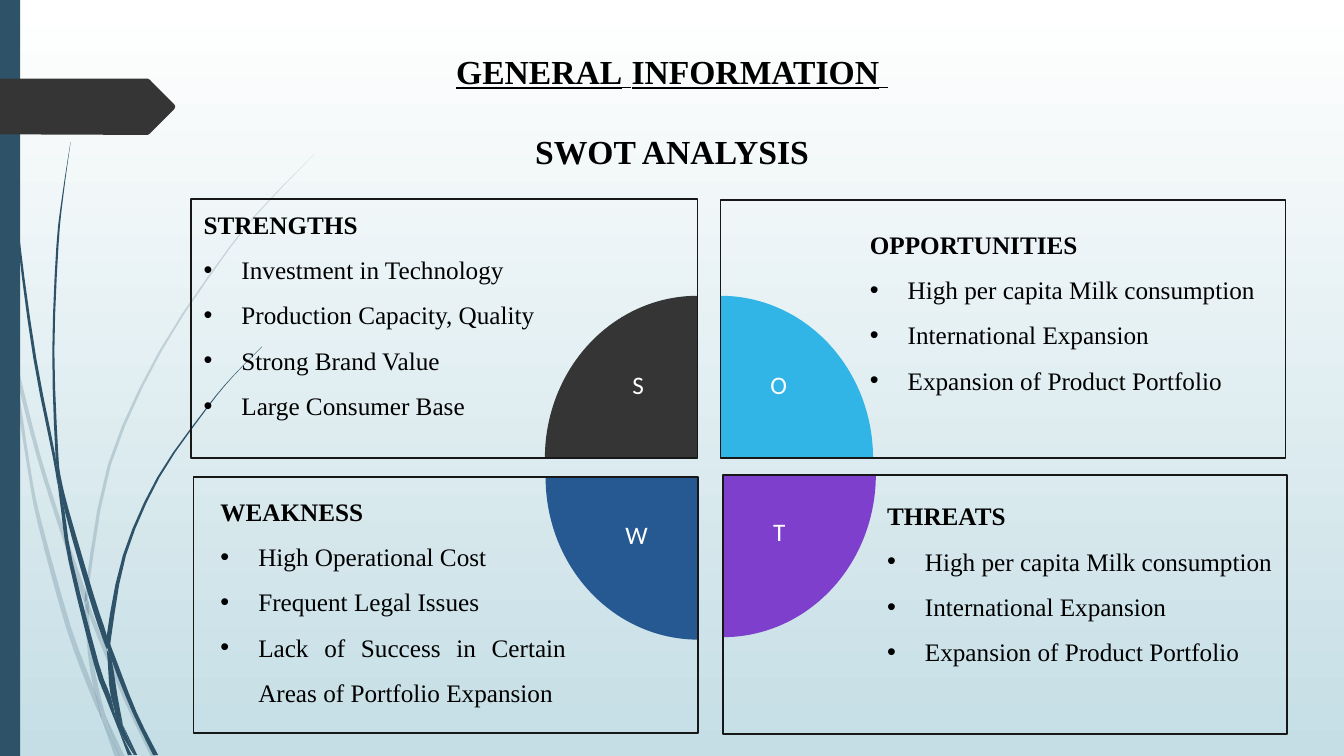
from pptx import Presentation
from pptx.dml.color import RGBColor
from pptx.enum.shapes import MSO_SHAPE
from pptx.enum.text import MSO_ANCHOR, MSO_AUTO_SIZE, PP_ALIGN
from pptx.oxml.ns import qn
from pptx.util import Pt
from lxml.etree import SubElement

HEX = {"top": "FFFFFF", "base": "C5DEE5", "navy": "2E5369", "dark": "353535",
       "sky": "31B4E6", "blue": "265991", "plum": "7E40CC", "edge": "171717",
       "ink": "000000", "white": "FFFFFF"}
SERIF = "Times New Roman"
PIE = 218, 232

# Pieces of grass as rows of (y, left x, right x)
PALE = [
    [(203, 0, 0), (215.3, 0, 3), (232, 3.7, 6.5), (252, 7.8, 7.9)],
    [(248.4, 10.1, 10.1), (270.7, 12.2, 15), (325, 26, 28.8), (376, 41.8, 45),
     (422, 57.3, 61), (431, 60.4, 60.5)],
    [(429, 63.4, 63.4), (439, 63.4, 66.4), (500, 88.6, 91.4), (540.7, 108, 111.6)],
    [(512, 75.6, 75.6), (540.7, 85.7, 89.3)],
    [(252, 7.9, 7.9), (271, 9.7, 12.2), (338, 20.2, 22.3), (374, 27, 30),
     (447, 46.8, 50.4), (492, 63.2, 67), (514, 72.7, 72.8)],
    [(431, 60.5, 60.5), (438, 60.9, 63.4), (465, 62.6, 65.5), (492, 67, 70.5),
     (512, 75.5, 75.6)],
    [(110, 224.6, 224.7), (142, 193, 193.9), (176, 164.2, 165.2), (250.5, 113.8, 115.6),
     (332, 77, 79.2), (420, 61.2, 63.4), (429, 63.3, 63.4)],
    [(514, 72.7, 72.8), (540.7, 82, 85.7)],
    [(422, 61.2, 61.2), (431, 60.5, 63.4), (439, 63.3, 63.4)],
    [(492, 67, 67), (509, 71.3, 74), (514, 72.7, 76.5), (540.7, 85.6, 85.7)],
]
BOLD = [
    [(0, 2.2, 2.9), (35, 2.9, 3.6), (79, 5, 5.8), (168, 12.2, 13.7), (256, 23.8, 25.9),
     (326, 37.6, 39.6), (346, 41, 41.1)],
    [(340, 43.2, 43.2), (364, 46, 49), (426, 63.4, 67.2), (454, 72.5, 76.3),
     (464, 76.3, 76.4)],
    [(461.5, 79.2, 79.3), (472, 79.9, 83.3), (509, 94.7, 97.7), (539.3, 109.4, 113)],
    [(343.4, 41, 41.1), (364, 43.6, 46), (401, 49, 51.8), (474, 67, 70.6),
     (498, 75.5, 79.2), (520, 84.2, 84.3)],
    [(101.5, 50.4, 50.5), (139, 44.6, 45.4), (176, 40.3, 41.8), (251, 37.4, 38.9),
     (323, 39.6, 41.6), (340, 43.1, 43.2)],
    [(517.7, 87.8, 87.8), (539.3, 95.8, 98)],
    [(323.3, 39.6, 39.6), (340, 40.8, 43.2), (343.4, 41, 43.7), (363.6, 46, 46.1)],
    [(247.7, 187, 187.2), (269, 166, 166.5), (292, 146.9, 147.8), (341, 112.3, 114),
     (396.7, 87.8, 90), (454, 76.3, 79.6), (461.5, 79.2, 79.3)],
    [(520, 84.2, 84.3), (539.3, 91.4, 94.3)],
    [(464.4, 76.3, 76.4), (472, 77, 79.9), (497.5, 79.2, 84), (517.7, 87.7, 87.8)],
    [(454, 76.3, 76.4), (461.5, 76.3, 79.2), (472, 79.9, 80)],
    [(497.5, 79.2, 79.2), (508, 82, 83.5), (520, 84.2, 88.5), (539.3, 95.7, 95.8)],
]

GROWTH = ["High per capita Milk consumption", "International Expansion",
          "Expansion of Product Portfolio"]
# letter, heading, points, colour, turn, panel box, text box
PANELS = [
    ("S", "STRENGTHS",
     ["Investment in Technology", "Production Capacity, Quality",
      "Strong Brand Value", "Large Consumer Base"],
     "dark", 0, (136.3, 142, 361.9, 185.3), (138.4, 142, 411.8, 194.4)),
    ("O", "OPPORTUNITIES", GROWTH,
     "sky", 90, (514.6, 142.8, 403.7, 184.5), (614.3, 142.6, 477.4, 146.9)),
    ("T", "THREATS", GROWTH,
     "plum", 180, (516.6, 339.1, 402.7, 185), (626.6, 336.7, 452.9, 146.9)),
    ("W", "WEAKNESS",
     ["High Operational Cost", "Frequent Legal Issues",
      "Lack of Success in Certain Areas of Portfolio Expansion"],
     "blue", 270, (138.2, 340.9, 360.5, 182.8), (150.4, 347, 416, 183)),
]


def color(name):
    return RGBColor.from_string(HEX[name])


def paint(shape, name, alpha=None):
    shape.shadow.inherit = False
    shape.line.fill.background()
    shape.fill.solid()
    shape.fill.fore_color.rgb = color(name)
    if alpha:
        tone = shape.fill._xPr.find(".//" + qn("a:srgbClr"))
        SubElement(tone, qn("a:alpha")).set("val", str(alpha * 1000))


def style(para, size, name="ink", face=SERIF, bold=False):
    font = para.font
    font.size, font.name, font.bold = Pt(size), face, bold
    font.color.rgb = color(name)


def place(shape, box):
    shape.left, shape.top, shape.width, shape.height = map(Pt, box)


def smooth(rows, steps=3):
    """Return rows joined by a Catmull-Rom curve."""
    ends = [rows[0], *rows, rows[-1]]
    out = []
    for a, b, c, d in zip(ends, ends[1:], ends[2:], ends[3:]):
        for i in range(steps):
            t = i / steps
            out.append([q + t / 2 * (r - p + t * (2 * p - 5 * q + 4 * r - s
                        + t * (3 * (q - r) + s - p)))
                        for p, q, r, s in zip(a, b, c, d)])
    return out + [rows[-1]]


def outline(shapes, dots):
    dots = [(Pt(x), Pt(y)) for x, y in dots]
    form = shapes.build_freeform(*dots[0], scale=1.0)
    form.add_line_segments(dots[1:], close=True)
    return form.convert_to_shape()


def backdrop(slide):
    fill = slide.background.fill
    fill.gradient()
    fill.gradient_angle = 270
    for stop, name, spot in zip(fill.gradient_stops, ("top", "base"), (0, 1)):
        stop.color.rgb = color(name)
        stop.position = spot
    for blades, alpha in ((PALE, 20), (BOLD, None)):
        for rows in map(smooth, blades):
            dots = [(l, y) for y, l, r in rows] + [(r, y) for y, l, r in rows[::-1]]
            paint(outline(slide.shapes, dots), "navy", alpha)
    bar = slide.shapes.add_shape(MSO_SHAPE.RECTANGLE, 0, 0, Pt(14.4), Pt(540))
    paint(bar, "navy")
    flag = [(0, 56.2), (105.5, 56.2), (107, 57), (124.5, 74.6), (125.2, 76.2),
            (124.5, 78), (107, 95.5), (105.5, 96.4), (0, 96)]
    paint(outline(slide.shapes, flag), "dark")


def heading(slide):
    title = slide.shapes.title
    place(title, (311, 32.4, 338.4, 36))
    frame = title.text_frame
    frame.auto_size, frame.vertical_anchor = MSO_AUTO_SIZE.NONE, MSO_ANCHOR.TOP
    top = frame.paragraphs[0]
    for text in ("GENERAL", " ", "INFORMATION", " "):
        run = top.add_run()
        run.text = text
        run.font.name = SERIF if text.strip() else "Quicksand"
        run.font.bold = bool(text.strip())
    sub = slide.shapes.add_textbox(*map(Pt, (371, 75.6, 218, 45.4))).text_frame
    sub.word_wrap = True
    sub.text = "SWOT ANALYSIS"
    sub.paragraphs[0].line_spacing = 1.5
    for para in (top, sub.paragraphs[0]):
        style(para, 24, bold=True)
        para.alignment = PP_ALIGN.CENTER
    top.font.underline = True


def bullet(para):
    props = para._p.get_or_add_pPr()
    props.set("marL", str(Pt(27)))
    props.set("indent", str(Pt(-27)))
    SubElement(props, qn("a:buFont")).set("typeface", "Arial")
    SubElement(props, qn("a:buChar")).set("char", "•")


def notes(slide, head, points, box, low):
    frame = slide.shapes.add_textbox(*map(Pt, box)).text_frame
    frame.word_wrap = True
    frame.vertical_anchor = MSO_ANCHOR.BOTTOM if low else MSO_ANCHOR.TOP
    frame.margin_left = frame.margin_top = frame.margin_bottom = Pt(7.2)
    frame.margin_right = Pt(162)
    frame.text = "\n".join([head, *points])
    first, *rest = frame.paragraphs
    style(first, 18, bold=True)
    for para in rest:
        para.alignment = PP_ALIGN.JUSTIFY
        para.line_spacing = 1.5
        bullet(para)
        style(para, 18)


def wedge(slide, letter, name, turn, hub):
    """Draw a quarter disc with its point on the hub, and its letter."""
    x, y = hub
    south = turn in (180, 270)
    wide, high = PIE[::-1] if turn % 180 else PIE
    pie = slide.shapes.add_shape(MSO_SHAPE.PIE, 0, 0, 0, 0)
    place(pie, (x - wide / 2, y - high / 2, wide, high))
    pie.adjustments[0], pie.adjustments[1] = 108, 162
    pie.rotation = turn
    paint(pie, name)
    mid_x = x + (42 if turn in (90, 180) else -42) - (2 if south else 0.4)
    mid_y = y + (40.5 if south else -52.7)
    frame = slide.shapes.add_textbox(
        *map(Pt, (mid_x - 20, mid_y - 15, 40, 30))).text_frame
    frame.vertical_anchor = MSO_ANCHOR.MIDDLE
    frame.word_wrap = True
    frame.text = letter
    para = frame.paragraphs[0]
    para.alignment = PP_ALIGN.CENTER
    style(para, 18, "white", "Calibri")


def panel(slide, letter, head, points, name, turn, box, area):
    x, y, wide, high = box
    east, south = turn in (90, 180), turn in (180, 270)
    hub = x if east else x + wide, y if south else y + high
    notes(slide, head, points, area, east)
    wedge(slide, letter, name, turn, hub)
    rect = slide.shapes.add_shape(MSO_SHAPE.RECTANGLE, *map(Pt, box))
    rect.shadow.inherit = False
    rect.fill.background()
    rect.line.color.rgb = color("edge")
    rect.line.width = Pt(1.25)


def main():
    deck = Presentation()
    deck.slide_width, deck.slide_height = Pt(960), Pt(540)
    slide = deck.slides.add_slide(deck.slide_layouts[5])
    backdrop(slide)
    heading(slide)
    for row in PANELS:
        panel(slide, *row)
    deck.save("out.pptx")


if __name__ == "__main__":
    main()
